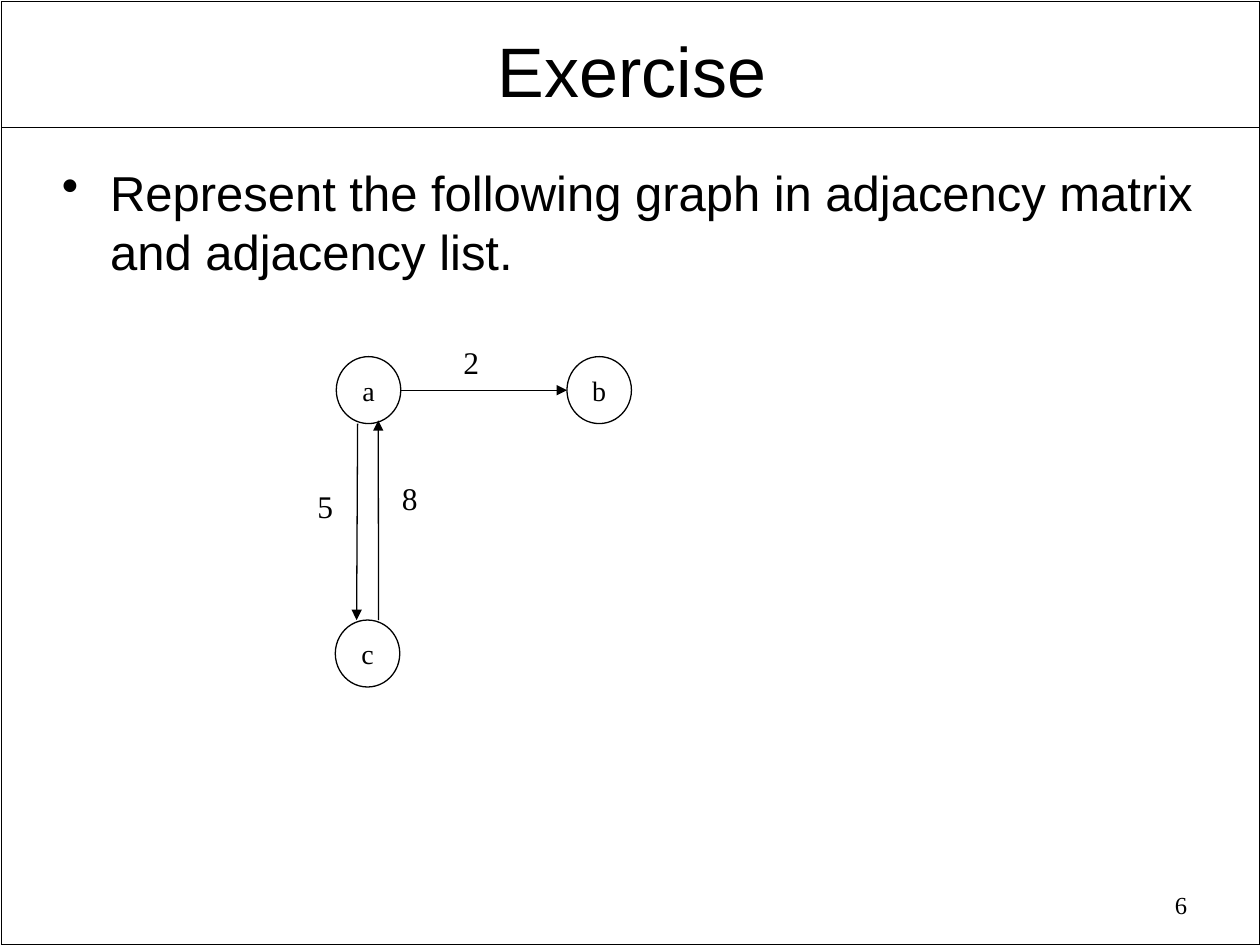
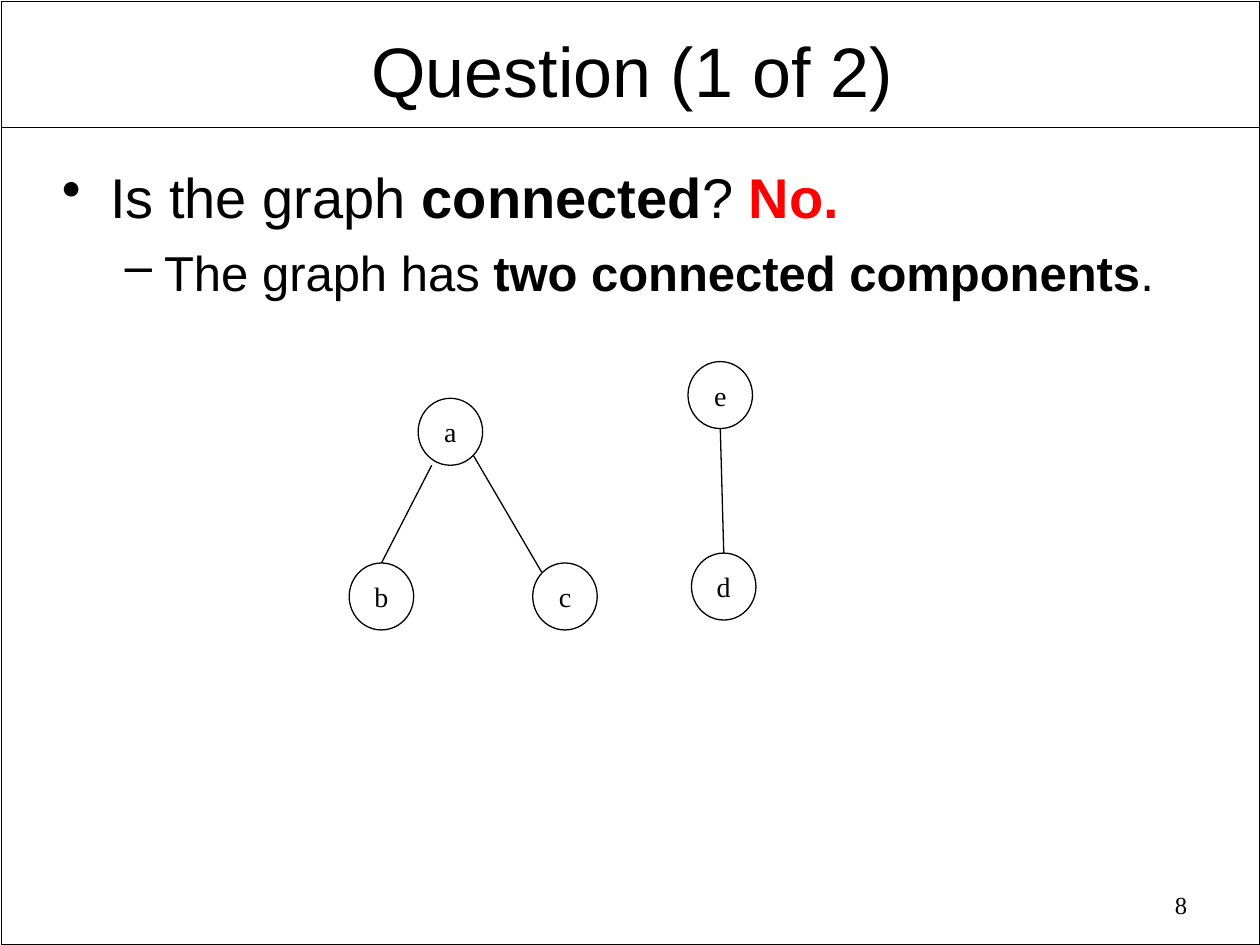
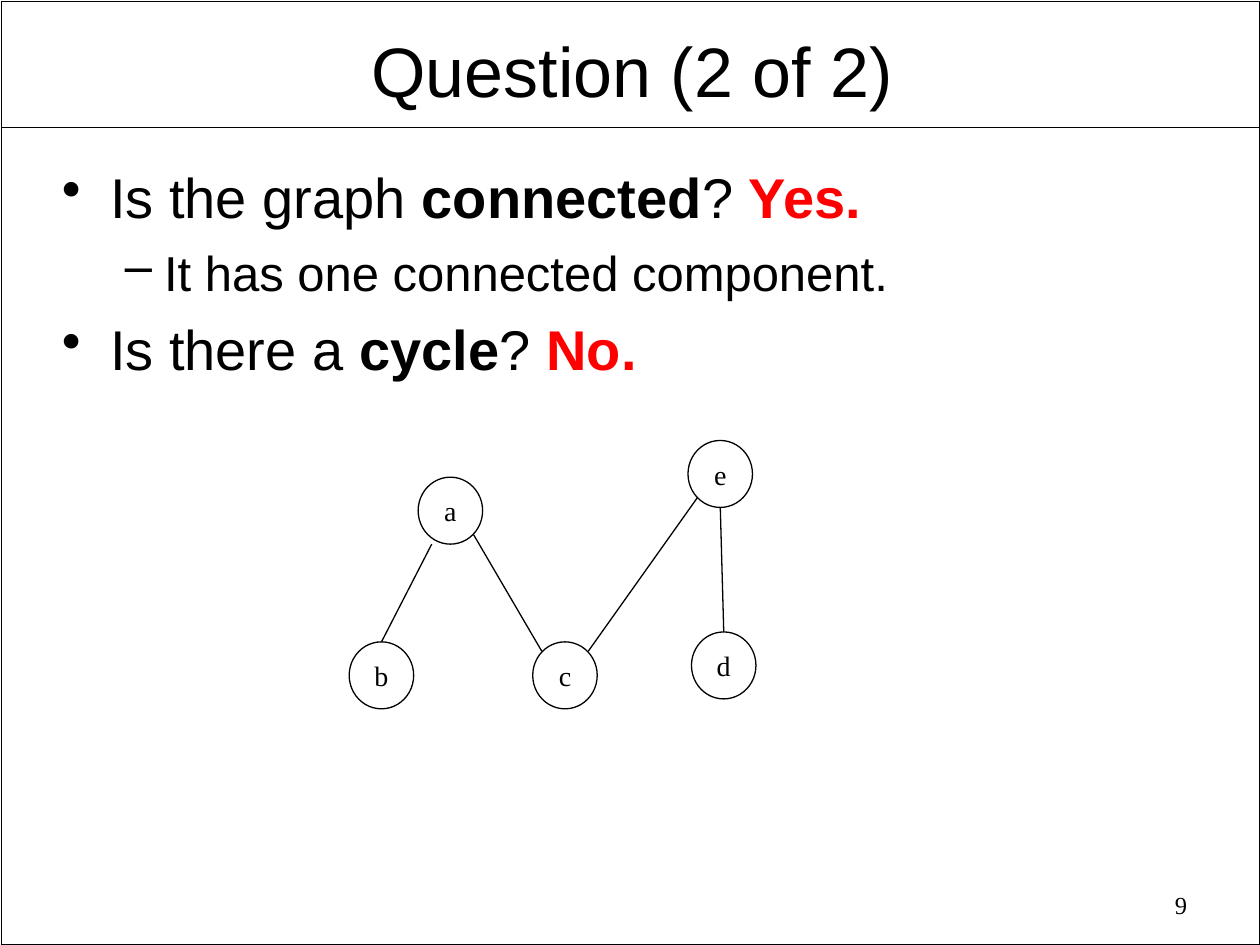
from lxml import etree
from pptx import Presentation
from pptx.dml.color import RGBColor
from pptx.enum.shapes import MSO_CONNECTOR as Link, MSO_SHAPE as Shape
from pptx.enum.text import MSO_ANCHOR as Anchor, PP_ALIGN as Align
from pptx.oxml.ns import qn
from pptx.util import Cm, Pt

BLACK, RED = "000000", "FF0000"
SANS, SERIF = "Arial", "Times New Roman"
NODE_W, NODE_H = 1.3, 1.35

# Bullet levels: mark, left margin, hanging indent
LEVELS = [("•", 0.97, 0.97), ("–", 2.06, 0.79)]

# Nodes: left, top. Edges: node and port at each end; a port is a
# fraction of the node's width and height. Labels: text, left, top.
CYCLE = {
    "nodes": {"a": (6.78, 7.19), "b": (11.43, 7.19), "c": (6.76, 12.5)},
    "edges": [("a", (0.33, 1), "c", (0.33, 0)),
              ("a", (1, 0.5), "b", (0, 0.5)),
              ("c", (0.67, 0), "a", (0.65, 0.95))],
    "labels": [("5", 6.15, 9.68), ("2", 9.09, 6.78), ("8", 7.85, 9.53)],
    "arrows": True,
}
FOREST = {
    "nodes": {"a": (8.43, 8.03), "b": (7.04, 11.35), "c": (10.74, 11.35),
              "e": (13.87, 7.29), "d": (13.94, 11.15)},
    "edges": [("a", (0.21, 1), "b", (0.5, 0)),
              ("a", (0.86, 0.86), "c", (0.14, 0.14)),
              ("e", (0.5, 1), "d", (0.5, 0))],
    "labels": [],
    "arrows": False,
}
DROP = 1.59
TREE = FOREST | {
    "nodes": {name: (x, y + DROP) for name, (x, y) in FOREST["nodes"].items()},
    "edges": FOREST["edges"] + [("e", (0.14, 0.86), "c", (0.86, 0.14))],
}

# Body lines: level, size, space before, runs; "b" is bold, "r" is bold red
SLIDES = [
    ("Exercise", "6", 3.05, CYCLE, [
        (0, 28, 7, [("Represent the following graph in adjacency matrix "
                     "and adjacency list.", "")]),
    ]),
    ("Question (1 of 2)", "8", 3.53, FOREST, [
        (0, 32, 8, [("Is the graph ", ""), ("connected", "b"), ("? ", ""),
                    ("No.", "r")]),
        (1, 28, 7, [("The graph has ", ""),
                    ("two connected components", "b"), (".", "")]),
    ]),
    ("Question (2 of 2)", "9", 5.05, TREE, [
        (0, 32, 8, [("Is the graph ", ""), ("connected", "b"), ("? ", ""),
                    ("Yes.", "r")]),
        (1, 28, 7, [("It has one connected component.", "")]),
        (0, 32, 8, [("Is there a ", ""), ("cycle", "b"), ("? ", ""),
                    ("No.", "r")]),
    ]),
]


def color(code):
    return RGBColor.from_string(code)


def style(font, face, size, code=BLACK, bold=False):
    font.name, font.size, font.bold = face, Pt(size), bold
    font.color.rgb = color(code)


def pad(frame, side, top):
    frame.margin_left = frame.margin_right = Cm(side)
    frame.margin_top = frame.margin_bottom = Cm(top)


def write(frame, text, face, size, align):
    frame.text = text
    para = frame.paragraphs[0]
    para.alignment = align
    style(para.runs[0].font, face, size)


def add_box(slide, place, side=0.25, top=0.13, wrap=True):
    frame = slide.shapes.add_textbox(*map(Cm, place)).text_frame
    frame.word_wrap = wrap
    pad(frame, side, top)
    return frame


def add_outline(slide, kind, place, width):
    shape = slide.shapes.add_shape(kind, *map(Cm, place))
    shape.shadow.inherit = False
    shape.fill.background()
    shape.line.color.rgb = color(BLACK)
    shape.line.width = Pt(width)
    return shape


def add_line(slide, start, end, width, arrow=False):
    line = slide.shapes.add_connector(Link.STRAIGHT, *map(Cm, start + end))
    line.line.color.rgb = color(BLACK)
    line.line.width = Pt(width)
    props = line._element.spPr
    if arrow:
        etree.SubElement(props.find(qn("a:ln")), qn("a:tailEnd"),
                         type="triangle", w="med", len="med")
    etree.SubElement(props, qn("a:effectLst"))


def add_bullet(para, level):
    mark, left, hang = LEVELS[level]
    para.level = level
    props = para._p.get_or_add_pPr()
    props.set("marL", str(Cm(left)))
    props.set("indent", str(-Cm(hang)))
    etree.SubElement(props, qn("a:buChar"), char=mark)


def add_body(slide, height, lines):
    frame = add_box(slide, (1.07, 3.2, 23.29, height), 0.18, 0.08)
    for i, (level, size, before, runs) in enumerate(lines):
        para = frame.add_paragraph() if i else frame.paragraphs[0]
        para.space_before = Pt(before)
        add_bullet(para, level)
        for text, look in runs:
            run = para.add_run()
            run.text = text
            style(run.font, SANS, size, RED if look == "r" else BLACK,
                  look != "")


def add_graph(slide, graph):
    nodes = graph["nodes"]

    def port(name, spot):
        (x, y), (u, v) = nodes[name], spot
        return x + u * NODE_W, y + v * NODE_H

    for name, place in nodes.items():
        node = add_outline(slide, Shape.OVAL, place + (NODE_W, NODE_H), 0.75)
        frame = node.text_frame
        frame.word_wrap = False
        frame.vertical_anchor = Anchor.MIDDLE
        pad(frame, 0, 0)
        write(frame, name, SERIF, 16, Align.CENTER)
    for tail, out, head, into in graph["edges"]:
        add_line(slide, port(tail, out), port(head, into), 0.75,
                 graph["arrows"])
    for text, x, y in graph["labels"]:
        frame = add_box(slide, (x, y, 0.81, 1.02), wrap=False)
        write(frame, text, SERIF, 18, Align.LEFT)


def add_base(slide, title, number):
    """Draw the frame, title band and page number."""
    add_outline(slide, Shape.RECTANGLE, (0.03, 0.03, 25.37, 19.02), 1)
    add_line(slide, (0.03, 2.57), (25.37, 2.57), 1)
    frame = add_box(slide, (1.35, 0.48, 22.78, 1.83), 0.18, 0.08)
    write(frame, title, SANS, 40, Align.CENTER)
    frame = add_box(slide, (18.24, 17.81, 5.94, 0.91))
    write(frame, number, SERIF, 14, Align.RIGHT)


def main():
    deck = Presentation()
    deck.slide_width, deck.slide_height = Cm(25.4), Cm(19.05)
    for title, number, height, graph, lines in SLIDES:
        slide = deck.slides.add_slide(deck.slide_layouts[6])
        add_base(slide, title, number)
        add_body(slide, height, lines)
        add_graph(slide, graph)
    deck.save("out.pptx")


if __name__ == "__main__":
    main()
